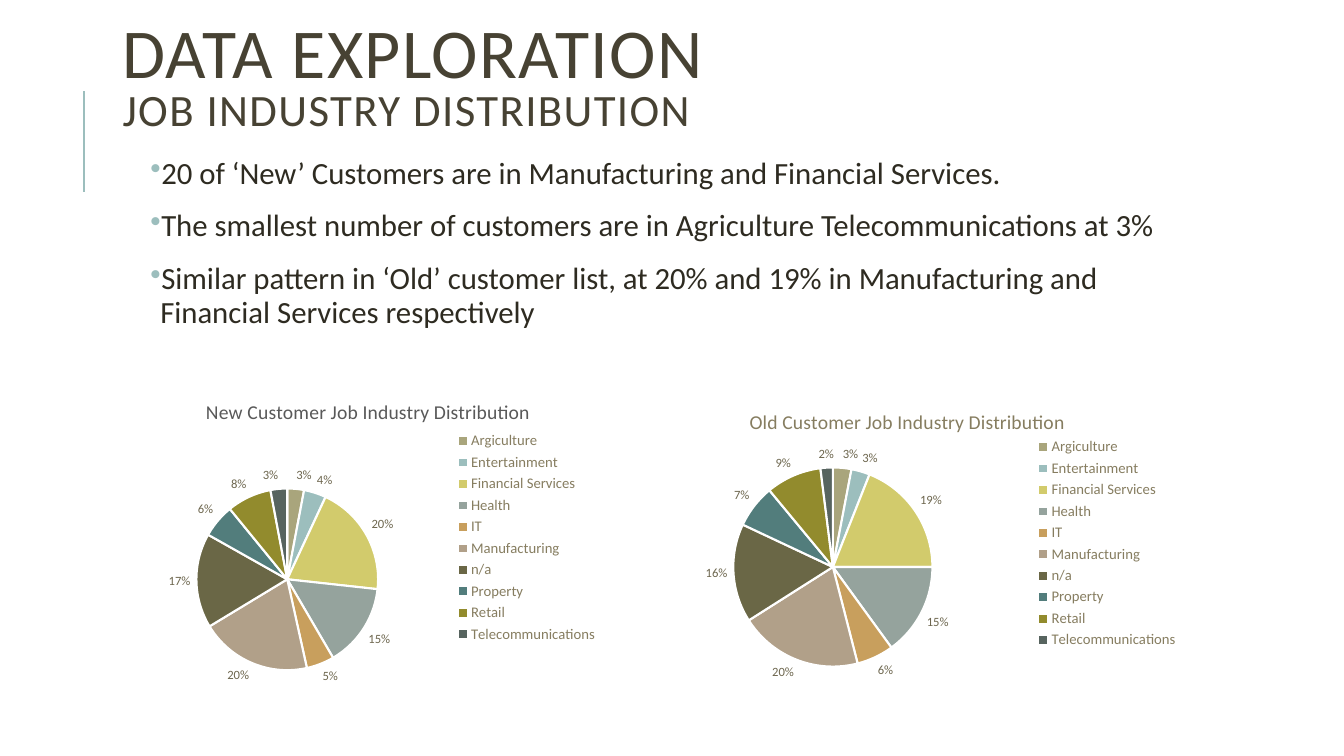
"""Builds the job industry distribution slide with two pie charts."""
from lxml import etree
from pptx import Presentation
from pptx import util as u
from pptx.chart import data
from pptx.dml.color import RGBColor
from pptx.enum import chart as kinds, shapes, text
from pptx.oxml import ns

FONT = "Calibri"
HEADING = [("DATA EXPLORATION", 50), ("JOB INDUSTRY DISTRIBUTION", 32)]
BULLETS = [
    "20 of ‘New’ Customers are in Manufacturing and Financial Services.",
    "The smallest number of customers are in Agriculture Telecommunications at 3%",
    "Similar pattern in ‘Old’ customer list, at 20% and 19% in Manufacturing and "
    "Financial Services respectively",
]
INDUSTRIES = {
    "Argiculture": "A9A57C", "Entertainment": "9CBEBD",
    "Financial Services": "D2CB6C", "Health": "95A39D", "IT": "C89F5D",
    "Manufacturing": "B1A089", "n/a": "6A6746", "Property": "527D7C",
    "Retail": "928B2D", "Telecommunications": "57645F",
}
LEGEND_SIZE = (3.85, 5.5)
PIES = [
    dict(title="New Customer Job Industry Distribution", color="595959",
         values=[3, 4, 20, 15, 5, 20, 17, 6, 8, 3],
         frame=(2.84, 9.53, 12.4, 8.05), center=(7.24, 14.6), radius=2.29,
         title_at=(5.1, 9.95), legend_at=(11.35, 10.8)),
    dict(title="Old Customer Job Industry Distribution", color="867D60",
         values=[3, 3, 19, 15, 6, 20, 16, 7, 9, 2],
         frame=(15.88, 9.73, 13.97, 7.85), center=(20.99, 14.29), radius=2.51,
         title_at=(18.8, 10.2), legend_at=(25.98, 10.95)),
]


def rgb(color):
    return RGBColor.from_string(color)


def style(font, size, color):
    font.name, font.size, font.bold = FONT, u.Pt(size), False
    font.color.rgb = rgb(color)


def add_text(para, words, size, color, spacing=0):
    span = para.add_run()
    span.text = words
    style(span.font, size, color)
    if spacing:
        span.font._element.set("spc", str(spacing * 100))


def add_box(page, frame, anchor):
    box = page.shapes.add_textbox(*map(u.Cm, frame)).text_frame
    box.word_wrap = True
    box.vertical_anchor = anchor
    return box


def add_bullet(para):
    props = para._p.get_or_add_pPr()
    props.set("marL", str(u.Cm(0.25)))
    props.set("indent", str(u.Cm(-0.25)))
    color = etree.SubElement(props, ns.qn("a:buClr"))
    etree.SubElement(color, ns.qn("a:srgbClr"), val="9CBEBD")
    etree.SubElement(props, ns.qn("a:buChar"), char="•")


def place(element, frame, at, size=(), inner=False):
    """Fix a chart part at a place given in slide centimetres."""
    old = element.find(ns.qn("c:layout"))
    if old is not None:
        element.remove(old)
    layout = etree.Element(ns.qn("c:layout"))
    manual = etree.SubElement(layout, ns.qn("c:manualLayout"))
    settings = [("layoutTarget", "inner")] if inner else []
    settings += [("xMode", "edge"), ("yMode", "edge")]
    settings += [(key, (spot - start) / length) for key, spot, start, length
                 in zip("xy", at, frame[:2], frame[2:])]
    settings += [(key, part / length)
                 for key, part, length in zip("wh", size, frame[2:])]
    for key, value in settings:
        etree.SubElement(manual, ns.qn("c:" + key), val=str(value))
    before = element.find(ns.qn("c:tx"))
    if before is None:
        before = element.find(ns.qn("c:legendPos"))
    if before is None:
        element.insert(0, layout)
    else:
        before.addnext(layout)


def add_pie(page, title, color, values, frame, center, radius, title_at, legend_at):
    numbers = data.CategoryChartData()
    numbers.categories = list(INDUSTRIES)
    numbers.add_series("Series 1", values)
    chart = page.shapes.add_chart(
        kinds.XL_CHART_TYPE.PIE, *map(u.Cm, frame), numbers).chart
    style(chart.font, 10, "2E2B21")
    chart.has_title = True
    heading = chart.chart_title
    add_text(heading.text_frame.paragraphs[0], title, 14, color)
    heading.include_in_layout = False
    chart.has_legend = True
    chart.legend.position = kinds.XL_LEGEND_POSITION.RIGHT
    chart.legend.include_in_layout = False
    style(chart.legend.font, 10.5, "867D60")

    plot = chart.plots[0]
    plot.vary_by_categories = True
    for index, fill in enumerate(INDUSTRIES.values()):
        slice_format = plot.series[0].points[index].format
        slice_format.fill.solid()
        slice_format.fill.fore_color.rgb = rgb(fill)
        slice_format.line.color.rgb = rgb("FFFFFF")
        slice_format.line.width = u.Pt(1.5)
    plot.has_data_labels = True
    labels = plot.data_labels
    labels.show_percentage, labels.show_value = True, False
    labels.number_format, labels.number_format_is_linked = "0%", False
    labels.position = kinds.XL_LABEL_POSITION.OUTSIDE_END
    style(labels.font, 9, "6D664E")

    corner = [middle - radius for middle in center]
    area = chart._chartSpace.chart.plotArea
    place(area, frame, corner, (2 * radius, 2 * radius), inner=True)
    place(heading._element, frame, title_at)
    place(chart.legend._element, frame, legend_at, LEGEND_SIZE)


deck = Presentation()
deck.slide_width, deck.slide_height = u.Cm(33.87), u.Cm(19.05)
page = deck.slides.add_slide(deck.slide_layouts[6])

rule = page.shapes.add_connector(
    shapes.MSO_CONNECTOR.STRAIGHT, u.Cm(2.11), u.Cm(4.83), u.Cm(2.11), u.Cm(2.29))
rule.line.color.rgb = rgb("9CBEBD")
rule.line.width = u.Pt(1.5)
etree.SubElement(rule._element.spPr, ns.qn("a:effectLst"))

title_box = add_box(page, (2.84, 0.41, 27, 3.23), text.MSO_ANCHOR.MIDDLE)
para = title_box.paragraphs[0]
para.line_spacing = 0.8
for number, (words, size) in enumerate(HEADING):
    if number:
        para.add_line_break()
    add_text(para, words, size, "474233", spacing=1)

body = add_box(page, (3.66, 3.84, 27, 5.69), text.MSO_ANCHOR.TOP)
body.margin_left = body.margin_right = u.Cm(0.13)
body.margin_top = body.margin_bottom = u.Cm(0.13)
for number, words in enumerate(BULLETS):
    para = body.add_paragraph() if number else body.paragraphs[0]
    para.line_spacing = 0.9
    para.space_before, para.space_after = u.Pt(12), u.Pt(2)
    add_bullet(para)
    add_text(para, words, 22, "2E2B21")

for pie in PIES:
    add_pie(page, **pie)

deck.save("out.pptx")
